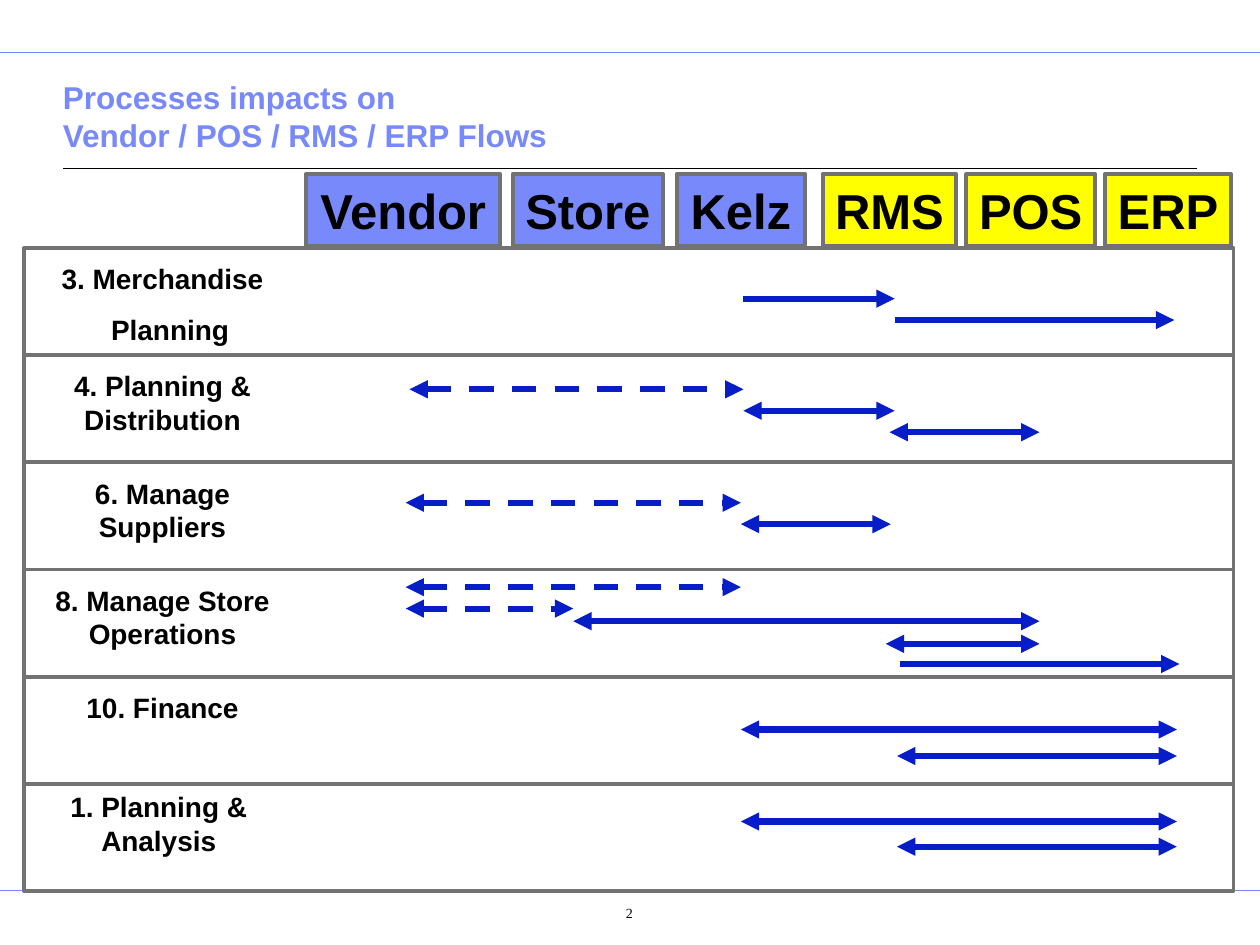
from lxml.etree import SubElement
from pptx import Presentation
from pptx.dml.color import RGBColor
from pptx.enum.dml import MSO_LINE
from pptx.enum.shapes import MSO_CONNECTOR, MSO_SHAPE
from pptx.enum.text import MSO_ANCHOR, PP_ALIGN
from pptx.oxml.ns import qn
from pptx.util import Inches, Pt

COLORS = {
    "periwinkle": "7889FB",
    "yellow": "FFFF00",
    "gray": "727272",
    "blue": "061DC8",
    "black": "000000",
}

# system, left, width, fill
SYSTEMS = [
    ("Vendor", 2.43, 1.54, "periwinkle"),
    ("Store", 4.07, 1.19, "periwinkle"),
    ("Kelz", 5.37, 1.02, "periwinkle"),
    ("RMS", 6.53, 1.06, "yellow"),
    ("POS", 7.67, 1.02, "yellow"),
    ("ERP", 8.77, 1.0, "yellow"),
]

ROW_LEFT, ROW_TOP, ROW_WIDTH, ROW_HEIGHT = 0.19, 1.97, 9.6, 0.85
PROCESSES = [
    ["3. Merchandise", "Planning"],
    ["4. Planning & Distribution"],
    ["6. Manage Suppliers"],
    ["8. Manage Store Operations"],
    ["10. Finance"],
    ["1. Planning & Analysis"],
]

# start, end, height on the slide
ONE_WAY_FLOWS = [(5.9, 7.1, 2.37), (7.1, 9.32, 2.54), (7.14, 9.36, 5.27)]
TWO_WAY_FLOWS = [
    (5.9, 7.1, 3.26), (7.06, 8.25, 3.43), (5.88, 7.07, 4.16),
    (4.55, 8.25, 4.93), (7.03, 8.25, 5.11),
    (5.88, 9.34, 5.79), (7.12, 9.34, 6.0),
    (5.88, 9.34, 6.52), (7.12, 9.34, 6.72),
]
DASHED_FLOWS = [
    (3.25, 5.9, 3.09), (3.22, 5.88, 3.99),
    (3.22, 5.88, 4.66), (3.22, 4.55, 4.83),
]


def color(name):
    return RGBColor.from_string(COLORS[name])


def write_text(shape, paragraphs, size, bold=True, font="Arial", ink="black",
               align=PP_ALIGN.CENTER, anchor=MSO_ANCHOR.TOP, wrap=True,
               margins=(0.1, 0.05, 0.1, 0.05), gap=0, indents=()):
    """Fill a shape with paragraphs; indents are left indents in inches."""
    frame = shape.text_frame
    frame.word_wrap = wrap
    frame.vertical_anchor = anchor
    (frame.margin_left, frame.margin_top,
     frame.margin_right, frame.margin_bottom) = map(Inches, margins)
    for index, text in enumerate(paragraphs):
        paragraph = frame.add_paragraph() if index else frame.paragraphs[0]
        paragraph.text = text
        paragraph.alignment = align
        if index:
            paragraph.space_before = Pt(gap)
        if index < len(indents):
            paragraph._p.get_or_add_pPr().set("marL", str(Inches(indents[index])))
        for run in paragraph.runs:
            run.font.size = Pt(size)
            run.font.bold = bold
            run.font.name = font
            run.font.color.rgb = color(ink)


def add_text(slide, left, top, width, height, paragraphs, **text_format):
    box = slide.shapes.add_textbox(*map(Inches, (left, top, width, height)))
    write_text(box, paragraphs, **text_format)


def add_box(slide, left, top, width, height, fill=None):
    box = slide.shapes.add_shape(
        MSO_SHAPE.RECTANGLE, *map(Inches, (left, top, width, height)))
    box.shadow.inherit = False
    box.line.color.rgb = color("gray")
    box.line.width = Pt(2.25)
    if fill:
        box.fill.solid()
        box.fill.fore_color.rgb = color(fill)
    else:
        box.fill.background()
    return box


def add_line(slide, start, end, y, ink, width, dashed=False, arrows=()):
    """Draw a level line; arrows may hold headEnd and tailEnd, in that order."""
    line = slide.shapes.add_connector(
        MSO_CONNECTOR.STRAIGHT, *map(Inches, (start, y, end, y)))
    line.line.color.rgb = color(ink)
    line.line.width = Pt(width)
    if dashed:
        line.line.dash_style = MSO_LINE.DASH
    for arrow in arrows:
        SubElement(line.line._get_or_add_ln(), qn(f"a:{arrow}"), type="triangle")
    SubElement(line._element.spPr, qn("a:effectLst"))


def add_flows(slide, flows, arrows, dashed=False):
    for start, end, y in flows:
        add_line(slide, start, end, y, "blue", 3.5, dashed, arrows)


def add_processes(slide):
    last = len(PROCESSES) - 1
    for index, label in enumerate(PROCESSES):
        top = ROW_TOP + index * ROW_HEIGHT
        add_box(slide, ROW_LEFT, top, ROW_WIDTH, ROW_HEIGHT)
        left, offset = (ROW_LEFT, 0) if index == last else (0.22, 0.06)
        add_text(slide, left, top + offset, 2.14, 0.64, label,
                 size=16, gap=10, indents=(0, 0.12))


def main():
    presentation = Presentation()
    presentation.slide_width = Inches(10)
    presentation.slide_height = Inches(7.5)
    slide = presentation.slides.add_slide(presentation.slide_layouts[6])

    for y in (0.42, 7.07):
        add_line(slide, 0, 10, y, "periwinkle", 0.5)
    add_line(slide, 0.5, 9.5, 1.34, "black", 0.75)
    add_text(slide, 0.5, 0.64, 9, 0.63,
             ["Processes impacts on\vVendor / POS / RMS / ERP Flows"],
             size=18, ink="periwinkle", align=PP_ALIGN.LEFT,
             anchor=MSO_ANCHOR.BOTTOM, margins=(0, 0.05, 0, 0.05))

    for name, left, width, fill in SYSTEMS:
        box = add_box(slide, left, 1.38, width, 0.57, fill)
        write_text(box, [name], size=28, anchor=MSO_ANCHOR.MIDDLE, wrap=False)

    add_processes(slide)
    add_flows(slide, ONE_WAY_FLOWS, ["tailEnd"])
    add_flows(slide, TWO_WAY_FLOWS, ["headEnd", "tailEnd"])
    add_flows(slide, DASHED_FLOWS, ["headEnd", "tailEnd"], dashed=True)

    add_text(slide, 4.27, 7.11, 1.15, 0.35, ["2"], size=8, bold=False,
             font="Times New Roman", margins=(0.16, 0.07, 0.1, 0.05),
             indents=(0.24,))
    presentation.save("out.pptx")


if __name__ == "__main__":
    main()
